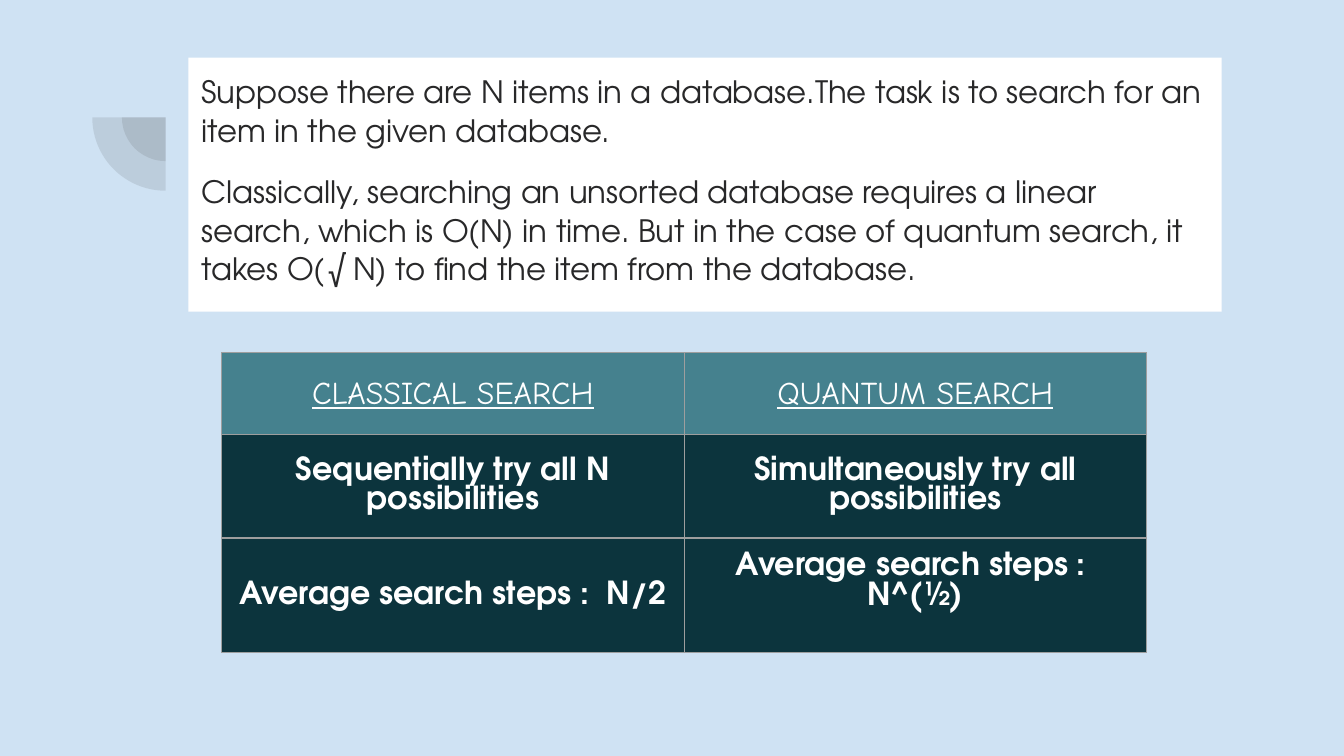
"""Build a slide that compares classical and quantum database search."""
from lxml.etree import SubElement as Sub
from pptx import Presentation
from pptx.dml.color import RGBColor as RGB
from pptx.enum.shapes import MSO_SHAPE as SHAPE
from pptx.enum.text import MSO_ANCHOR as ANCHOR, MSO_AUTO_SIZE as AUTO, PP_ALIGN as ALIGN
from pptx.oxml.ns import qn
from pptx.util import Cm, Pt

SKY = RGB(0xCF, 0xE2, 0xF3)
WHITE = RGB(0xFF, 0xFF, 0xFF)
INK = RGB(0x28, 0x28, 0x29)
GREY = RGB(0x42, 0x42, 0x42)
EDGE = RGB(0x9E, 0x9E, 0x9E)
TEAL = RGB(0x45, 0x81, 0x8E)
DEEP = RGB(0x0C, 0x34, 0x3D)
SANS, COMIC = "TeX Gyre Adventor", "Comic Neue"

INTRO = [
    ("Suppose there are N items in a database.The task is to search for an "
     "item in the given database.", 0),
    ("Classically, searching an unsorted database requires a linear search, "
     "which is O(N) in time. But in the case of quantum search, it takes "
     "O(√ N) to find the item from the database.", 12),
]
ROWS = [
    ("CLASSICAL SEARCH", "QUANTUM SEARCH"),
    ("Sequentially try all N possibilities", "Simultaneously try all possibilities"),
    ("Average search steps :  N/2", "Average search steps :  N^(½)"),
]
HEIGHTS = [1.55, 1.95, 2.16]
WIDTH = 8.74
PIES = [1.65, 2.77]
HUB = (3.13, 2.22)


def add_pie(slide, size):
    left, top = (Cm(mid - size / 2) for mid in HUB)
    pie = slide.shapes.add_shape(SHAPE.PIE, left, top, Cm(size), Cm(size))
    pie.adjustments[0], pie.adjustments[1] = 108, 162
    pie.rotation = 270
    pie.shadow.inherit = False
    pie.line.fill.background()
    pie.fill.solid()
    pie.fill.fore_color.rgb = GREY
    tint = pie.fill._xPr.find(".//" + qn("a:srgbClr"))
    Sub(tint, qn("a:alpha"), val="13000")


def set_font(para, name, size, tone):
    font = para.font
    font.name, font.size, font.color.rgb = name, Pt(size), tone
    return font


def fill_body(body):
    body.left, body.top, body.width, body.height = Cm(3.56), Cm(1.09), Cm(19.53), Cm(4.8)
    body.fill.solid()
    body.fill.fore_color.rgb = WHITE
    frame = body.text_frame
    frame.auto_size, frame.vertical_anchor = AUTO.NONE, ANCHOR.TOP
    frame.margin_left = frame.margin_right = Cm(0.25)
    frame.margin_top = frame.margin_bottom = Cm(0.25)
    frame.text = "\n".join(text for text, _ in INTRO)
    for para, (_, gap) in zip(frame.paragraphs, INTRO):
        props = para._p.get_or_add_pPr()
        props.set("marL", "0")
        props.set("indent", "0")
        Sub(props, qn("a:buNone"))
        para.line_spacing = 1.05
        para.space_before = para.space_after = Pt(gap)
        set_font(para, SANS, 16.5, INK)


def add_edges(cell):
    props = cell._tc.get_or_add_tcPr()
    for side in ("lnL", "lnR", "lnT", "lnB"):
        line = Sub(props, qn("a:" + side), w=str(Pt(0.75)))
        Sub(Sub(line, qn("a:solidFill")), qn("a:srgbClr"), val=str(EDGE))


def fill_cell(cell, text, head):
    add_edges(cell)
    cell.fill.solid()
    cell.fill.fore_color.rgb = TEAL if head else DEEP
    cell.vertical_anchor = ANCHOR.MIDDLE
    cell.margin_left = cell.margin_right = Cm(0.25)
    cell.margin_top = cell.margin_bottom = Cm(0.25)
    cell.text = text
    para = cell.text_frame.paragraphs[0]
    para.alignment = ALIGN.CENTER
    font = set_font(para, COMIC if head else SANS, 17, WHITE)
    font.underline, font.bold = head, not head


def add_grid(slide):
    cols = len(ROWS[0])
    table = slide.shapes.add_table(len(ROWS), cols, Cm(4.19), Cm(6.67),
                                   Cm(WIDTH * cols), Cm(sum(HEIGHTS))).table
    table._tbl.tblPr.clear()
    for col in table.columns:
        col.width = Cm(WIDTH)
    for r, (texts, height) in enumerate(zip(ROWS, HEIGHTS)):
        table.rows[r].height = Cm(height)
        for c, text in enumerate(texts):
            fill_cell(table.cell(r, c), text, r == 0)
    table.cell(2, 1).margin_bottom = Cm(0.76)


def main():
    deck = Presentation()
    deck.slide_width, deck.slide_height = Cm(25.4), Cm(14.29)
    slide = deck.slides.add_slide(deck.slide_layouts[1])
    slide.background.fill.solid()
    slide.background.fill.fore_color.rgb = SKY
    title = slide.shapes.title.element
    title.getparent().remove(title)
    for size in PIES:
        add_pie(slide, size)
    fill_body(slide.placeholders[1])
    add_grid(slide)
    deck.save("out.pptx")


if __name__ == "__main__":
    main()
